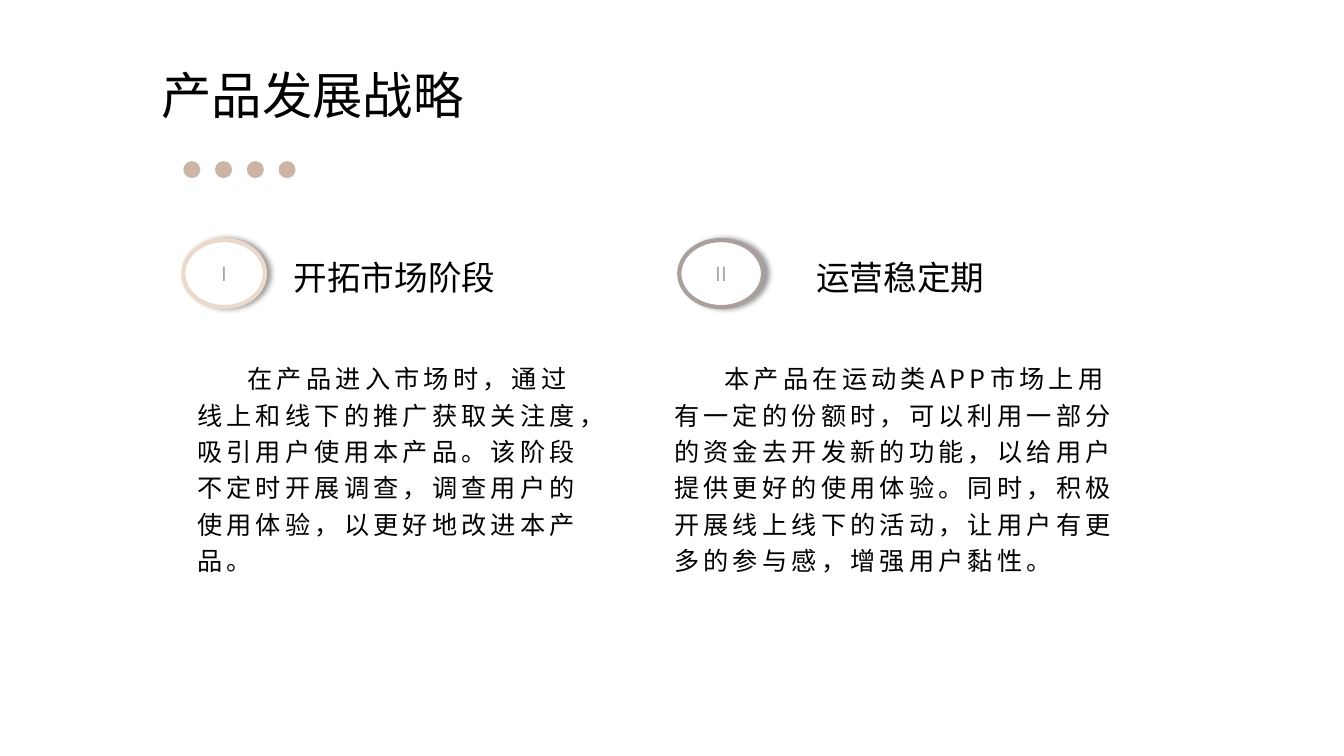
from dataclasses import dataclass

from lxml import etree
from pptx import Presentation
from pptx.dml.color import RGBColor
from pptx.enum.shapes import MSO_SHAPE
from pptx.enum.text import MSO_ANCHOR, PP_ALIGN
from pptx.oxml.ns import qn
from pptx.util import Cm, Pt

OVAL, PILL = MSO_SHAPE.OVAL, MSO_SHAPE.ROUNDED_RECTANGLE
LEFT, CENTER = PP_ALIGN.LEFT, PP_ALIGN.CENTER
MIDDLE = MSO_ANCHOR.MIDDLE


@dataclass(frozen=True)
class Theme:
    """Font, colours and type sizes of the slide."""
    font: str = "Noto Sans CJK SC"
    ink: str = "000000"
    paper: str = "FFFFFF"
    numeral: str = "A6A6A6"
    dot: str = "CCB5A5"
    peach: str = "ECD9CA"
    taupe: str = "A99F9D"
    title: int = 36
    heading: int = 24
    body: int = 18
    badge: int = 14
    body_line: int = 26
    tracking: int = 3


class Deck:
    """Draws styled elements on the current slide."""

    def __init__(self, prs, theme):
        """Add a blank slide and keep its style."""
        self.s = prs.slides.add_slide(prs.slide_layouts[6])
        self.t = theme

    def add_text(self, sp, text, size, color, align=LEFT, tracking=0):
        """Put one run of text in a shape and return its paragraph."""
        tf = sp.text_frame
        tf.word_wrap = True
        tf.vertical_anchor = MIDDLE
        p = tf.paragraphs[0]
        p.alignment = align
        r = p.add_run()
        r.text = text
        r.font.size = Pt(size)
        r.font.name = self.t.font
        r.font.color.rgb = RGBColor.from_string(color)
        rpr = r.font._element
        etree.SubElement(rpr, qn("a:ea"), typeface=self.t.font)
        if tracking:
            rpr.set("spc", str(tracking * 100))
        return p

    def shape(self, kind, x, y, w, h, fill=None, line=None, parent=None):
        """Add a flat preset shape, to a group if one is given."""
        shapes = (parent or self.s).shapes
        sp = shapes.add_shape(kind, Cm(x), Cm(y), Cm(w), Cm(h))
        sp.shadow.inherit = False
        if fill:
            sp.fill.solid()
            sp.fill.fore_color.rgb = RGBColor.from_string(fill)
        else:
            sp.fill.background()
        if line:
            sp.line.color.rgb = RGBColor.from_string(line)
            sp.line.width = Pt(3)
        else:
            sp.line.fill.background()
        return sp

    def title(self, text, x, y, w, h):
        """Add the title in an unfilled pill."""
        sp = self.shape(PILL, x, y, w, h)
        sp.adjustments[0] = 0.5
        self.add_text(sp, text, self.t.title, self.t.ink)

    def dots(self, count, x, y, size, step):
        """Add a grouped row of evenly spaced dots."""
        group = self.s.shapes.add_group_shape()
        for i in range(count):
            self.shape(OVAL, x + i * step, y, size, size, self.t.dot, parent=group)

    def badge(self, numeral, x, y, w, h, ring):
        """Add a ringed oval with a numeral and a soft shadow."""
        sp = self.shape(OVAL, x, y, w, h, self.t.paper, ring)
        effects = sp._element.spPr.find(qn("a:effectLst"))
        shadow = etree.SubElement(effects, qn("a:outerShdw"), blurRad=str(Pt(4)),
                                  dist=str(Pt(3)), dir="0", algn="l", rotWithShape="0")
        color = etree.SubElement(shadow, qn("a:srgbClr"), val=self.t.ink)
        etree.SubElement(color, qn("a:alpha"), val="40000")
        self.add_text(sp, numeral, self.t.badge, self.t.numeral, CENTER)

    def textbox(self, x, y, w, h):
        """Add an empty text box."""
        return self.s.shapes.add_textbox(Cm(x), Cm(y), Cm(w), Cm(h))

    def heading(self, text, x, y, w, h):
        """Add a centred stage heading."""
        self.add_text(self.textbox(x, y, w, h), text, self.t.heading, self.t.ink, CENTER)

    def body(self, text, x, y, w, h):
        """Add a tracked paragraph with a first-line indent."""
        p = self.add_text(self.textbox(x, y, w, h), text, self.t.body, self.t.ink,
                          tracking=self.t.tracking)
        p.line_spacing = Pt(self.t.body_line)
        ppr = p._p.get_or_add_pPr()
        ppr.set("marL", "0")
        ppr.set("indent", str(Cm(1.27)))


def main():
    """Build the product strategy slide."""
    prs = Presentation()
    prs.slide_width, prs.slide_height = Cm(33.87), Cm(19.05)
    theme = Theme()
    deck = Deck(prs, theme)
    deck.title("产品发展战略", 3.5, 1.3, 8.81, 2.16)
    deck.dots(4, 4.62, 4.06, 0.43, 0.8)

    # numeral, ring, badge x and width, heading and its x and width, body and its x and width
    stages = [
        ("I", theme.peach, 4.62, 2.06, "开拓市场阶段", 7.01, 5.87,
         "在产品进入市场时，通过线上和线下的推广获取关注度，吸引用户使用本产品。"
         "该阶段不定时开展调查，调查用户的使用体验，以更好地改进本产品。", 4.72, 10.49),
        ("II", theme.taupe, 17.12, 2.11, "运营稳定期", 20.24, 4.9,
         "本产品在运动类APP市场上用有一定的份额时，可以利用一部分的资金去开发新的功能，"
         "以给用户提供更好的使用体验。同时，积极开展线上线下的活动，"
         "让用户有更多的参与感，增强用户黏性。", 16.74, 11.89),
    ]
    for numeral, ring, bx, bw, name, hx, hw, text, tx, tw in stages:
        deck.heading(name, hx, 6.35, hw, 1.27)
        deck.body(text, tx, 8.86, tw, 5.79)
        deck.badge(numeral, bx, 6.05, bw, 1.69, ring)

    prs.save("out.pptx")


main()
